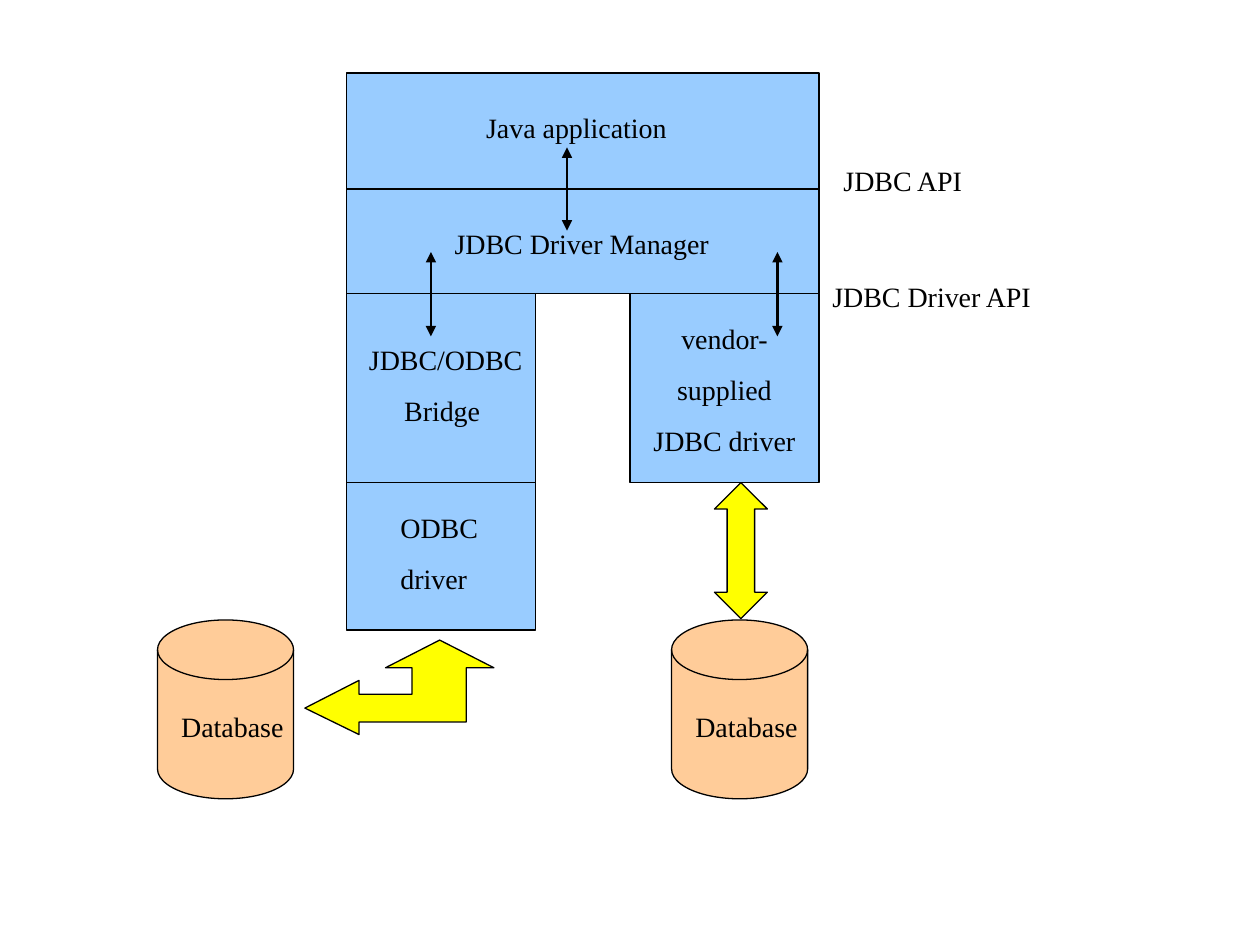
"""Build a slide showing the JDBC driver architecture."""
from lxml import etree
from pptx import Presentation
from pptx.dml.color import RGBColor
from pptx.enum.shapes import MSO_CONNECTOR, MSO_SHAPE
from pptx.enum.text import MSO_AUTO_SIZE, PP_ALIGN
from pptx.oxml.ns import qn
from pptx.util import Inches, Pt

RECT = MSO_SHAPE.RECTANGLE
DISK = MSO_SHAPE.FLOWCHART_MAGNETIC_DISK
UP_DOWN = MSO_SHAPE.UP_DOWN_ARROW
STRAIGHT = MSO_CONNECTOR.STRAIGHT
FIT = MSO_AUTO_SIZE.SHAPE_TO_FIT_TEXT
LEFT, CENTER = PP_ALIGN.LEFT, PP_ALIGN.CENTER
BLUE, ORANGE, YELLOW, BLACK = "99CCFF", "FFCC99", "FFFF00", "000000"
FONT = {"name": "Times New Roman", "size": Pt(16)}


def rgb(value):
    return RGBColor.from_string(value)


def paint(sp, fill):
    sp.shadow.inherit = False
    sp.fill.solid()
    sp.fill.fore_color.rgb = rgb(fill)
    sp.line.color.rgb = rgb(BLACK)
    sp.line.width = Pt(0.75)


prs = Presentation()
prs.slide_width, prs.slide_height = Inches(10), Inches(7.5)
s = prs.slides.add_slide(prs.slide_layouts[6])

shapes = [
    (RECT, 2.75, 0.58, 3.75, 1.75, BLUE),
    (RECT, 2.75, 2.33, 1.5, 1.5, BLUE),
    (RECT, 5, 2.33, 1.5, 1.5, BLUE),
    (RECT, 2.75, 3.83, 1.5, 1.17, BLUE),
    (DISK, 5.33, 4.92, 1.08, 1.42, ORANGE),
    (DISK, 1.25, 4.92, 1.08, 1.42, ORANGE),
    (UP_DOWN, 5.67, 3.83, 0.42, 1.08, YELLOW),
]
for kind, x, y, w, h, fill in shapes:
    sp = s.shapes.add_shape(kind, Inches(x), Inches(y), Inches(w), Inches(h))
    paint(sp, fill)
    if kind == UP_DOWN:
        sp.adjustments[0], sp.adjustments[1] = 0.5, 0.52

bent_arrow = [
    (3.49, 5.08), (3.06, 5.3), (3.27, 5.3), (3.27, 5.51), (2.85, 5.51), (2.85, 5.4),
    (2.42, 5.62), (2.85, 5.83), (2.85, 5.73), (3.7, 5.73), (3.7, 5.3), (3.92, 5.3),
]
points = [(Inches(x), Inches(y)) for x, y in bent_arrow]
builder = s.shapes.build_freeform(*points[0])
builder.add_line_segments(points[1:], close=True)
paint(builder.convert_to_shape(), YELLOW)

lines = [
    (2.75, 1.5, 6.5, 1.5, 0.75, False),
    (4.5, 1.17, 4.5, 1.83, 1.5, True),
    (3.42, 2, 3.42, 2.67, 1.5, True),
    (6.17, 2, 6.17, 2.67, 1.5, True),
]
for x1, y1, x2, y2, width, arrows in lines:
    cxn = s.shapes.add_connector(STRAIGHT, Inches(x1), Inches(y1), Inches(x2), Inches(y2))
    cxn.line.color.rgb = rgb(BLACK)
    cxn.line.width = Pt(width)
    sp_pr = cxn.element.spPr
    if arrows:
        for end in ("a:headEnd", "a:tailEnd"):
            etree.SubElement(sp_pr.find(qn("a:ln")), qn(end), type="triangle")
    etree.SubElement(sp_pr, qn("a:effectLst"))

labels = [
    (3.76, 0.83, 1.7, 0.37, LEFT, [("Java application", 0)]),
    (3.51, 1.75, 2.3, 0.37, LEFT, [("JDBC Driver Manager", 0)]),
    (2.83, 2.67, 1.5, 0.77, LEFT, [("JDBC/ODBC", 0), ("Bridge", 0.28)]),
    (5.05, 2.5, 1.4, 1.18, CENTER, [("vendor-", 0), ("supplied", 0), ("JDBC driver", 0)]),
    (3.08, 4, 0.9, 0.77, LEFT, [("ODBC", 0), ("driver", 0)]),
    (5.42, 5.58, 1.1, 0.37, LEFT, [("Database", 0)]),
    (1.34, 5.58, 1.1, 0.37, LEFT, [("Database", 0)]),
    (6.56, 1.25, 1.21, 0.37, CENTER, [("JDBC API", 0)]),
    (6.46, 2.17, 1.87, 0.37, CENTER, [("JDBC Driver API", 0)]),
]
for x, y, w, h, align, rows in labels:
    tf = s.shapes.add_textbox(Inches(x), Inches(y), Inches(w), Inches(h)).text_frame
    tf.word_wrap = True
    tf.auto_size = FIT
    for i, (text, indent) in enumerate(rows):
        p = tf.add_paragraph() if i else tf.paragraphs[0]
        p.alignment = align
        p.space_before = Pt(10)
        if indent:
            p._p.get_or_add_pPr().set("marL", str(Inches(indent)))
        r = p.add_run()
        r.text = text
        for name, value in FONT.items():
            setattr(r.font, name, value)
        r.font.color.rgb = rgb(BLACK)

prs.save("out.pptx")
